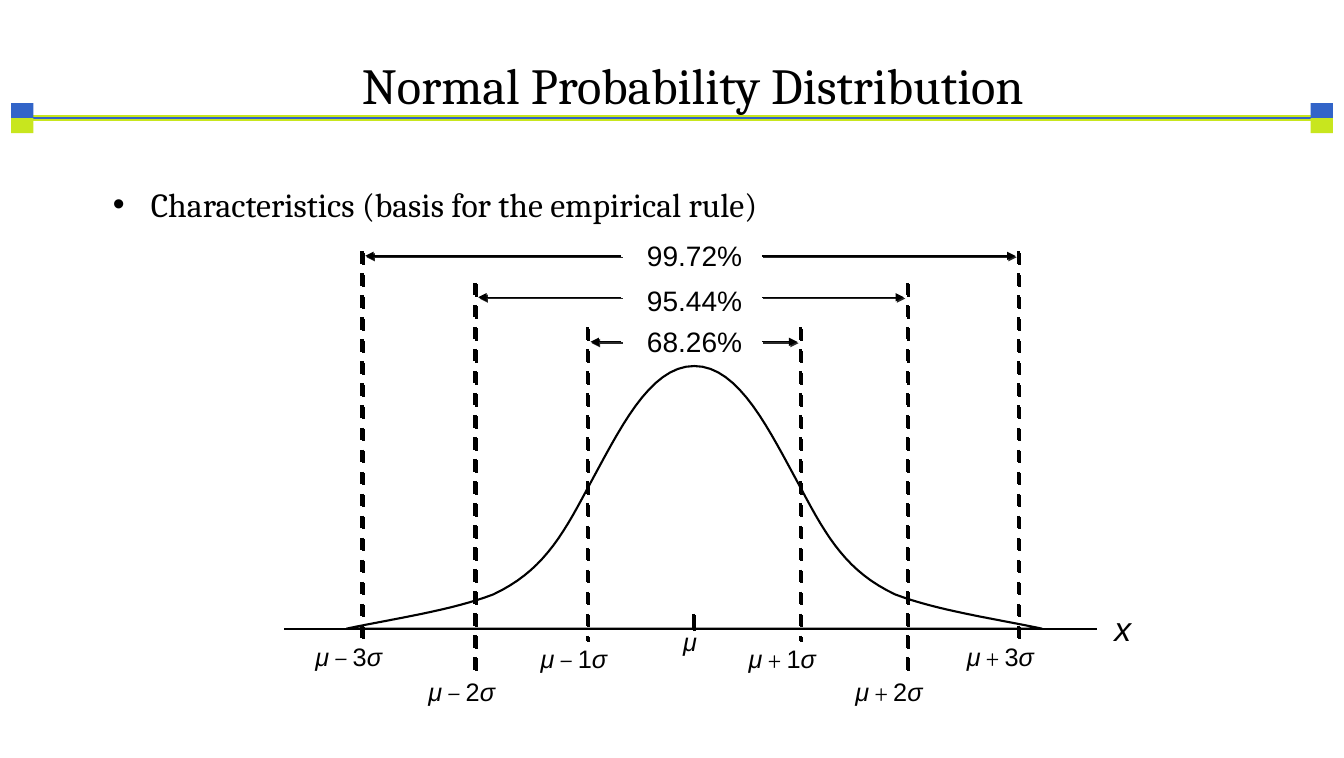
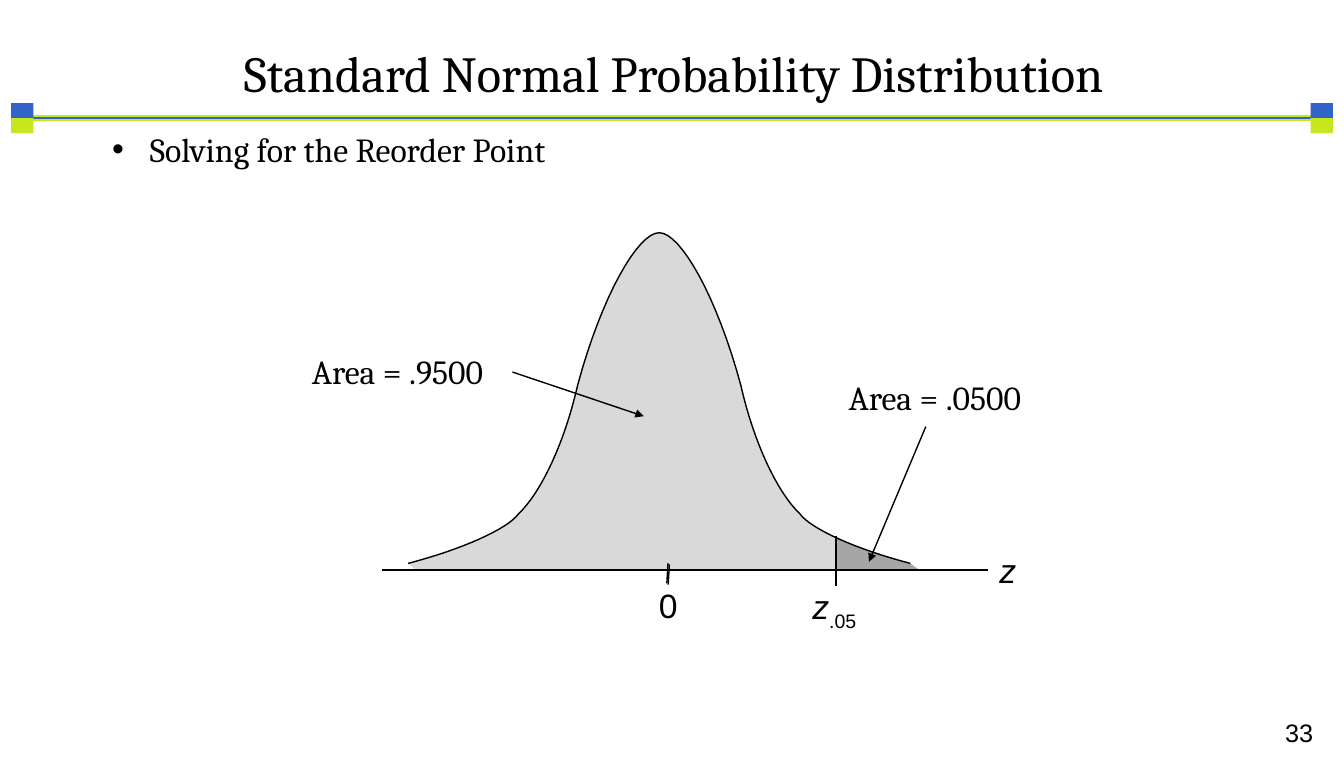
from dataclasses import dataclass

from pptx import Presentation
from pptx.dml.color import RGBColor
from pptx.enum.dml import MSO_LINE
from pptx.enum.shapes import MSO_CONNECTOR, MSO_SHAPE
from pptx.enum.text import MSO_ANCHOR, PP_ALIGN
from pptx.oxml.ns import qn
from pptx.util import Cm, Pt

STRAIGHT = MSO_CONNECTOR.STRAIGHT
RECTANGLE = MSO_SHAPE.RECTANGLE
DASH = MSO_LINE.DASH
TOP = MSO_ANCHOR.TOP
CENTER = PP_ALIGN.CENTER


@dataclass(frozen=True)
class Theme:
    black: str = "000000"
    arrow_shadow: str = "292929"
    blue: str = "3264C8"
    lime: str = "C8E61E"
    area: str = "D9D9D9"
    tail: str = "A6A6A6"
    serif: str = "Cambria"
    sans: str = "Arial"
    sign: str = "Vollkorn"
    title_size: int = 36
    body_size: int = 24
    percent_size: int = 20
    label_size: int = 18


theme = Theme()


def add_line(page, x1, y1, x2, y2, width=1, color=theme.black, dash=None, arrow=False, shadow=None):
    line = page.shapes.add_connector(STRAIGHT, Cm(x1), Cm(y1), Cm(x2), Cm(y2))
    line.line.color.rgb = RGBColor.from_string(color)
    line.line.width = Pt(width)
    if dash:
        line.line.dash_style = dash
    if arrow:
        outline = line.element.xpath(".//a:ln")[0]
        outline.append(outline.makeelement(qn("a:tailEnd"), {"type": "triangle"}))
    properties = line.element.xpath("./p:spPr")[0]
    effects = properties.makeelement(qn("a:effectLst"), {})
    properties.append(effects)
    if shadow:
        cast = effects.makeelement(qn("a:outerShdw"), {"dist": "17780", "dir": "2700000", "algn": "ctr", "rotWithShape": "0"})
        cast.append(cast.makeelement(qn("a:srgbClr"), {"val": shadow}))
        effects.append(cast)
    return line


def add_text(page, left, top, width, height, runs, size=theme.body_size, wrap=False):
    """Each run is (text, font name, italic)."""
    box = page.shapes.add_textbox(Cm(left), Cm(top), Cm(width), Cm(height))
    box.text_frame.word_wrap = wrap
    para = box.text_frame.paragraphs[0]
    for text, font, italic in runs:
        span = para.add_run()
        span.text = text
        span.font.name = font
        span.font.size = Pt(size)
        span.font.italic = italic
        span.font.color.rgb = RGBColor.from_string(theme.black)
    return box


deck = Presentation()
deck.slide_width, deck.slide_height = Cm(33.78), Cm(19.05)
layout = deck.slide_layouts[5]

# Pages with title and bullet
pages = []
for title_text, title_at, bullet_text, bullet_at in (
    ("Normal Probability Distribution", (3.05, 1.4, 28.73, 1.6),
     "Characteristics (basis for the empirical rule)", (2.59, 4.5, 28.73, 1.42)),
    ("Standard Normal Probability Distribution", (2.57, 1.09, 28.73, 1.96),
     "Solving for the Reorder Point", (2.57, 3.12, 28.73, 1.78)),
):
    page = deck.slides.add_slide(layout)
    pages.append(page)
    title = page.shapes.title
    title.left, title.top, title.width, title.height = [Cm(length) for length in title_at]
    title.text_frame.vertical_anchor = TOP
    title.text_frame.word_wrap = True
    para = title.text_frame.paragraphs[0]
    para.alignment = CENTER
    para.line_spacing = 0.9
    span = para.add_run()
    span.text = title_text
    span.font.name = theme.serif
    span.font.size = Pt(theme.title_size)
    span.font.color.rgb = RGBColor.from_string(theme.black)

    box = add_text(page, *bullet_at, [(bullet_text, theme.serif, False)], wrap=True)
    box.text_frame.paragraphs[0].space_before = Pt(5)
    settings = box.element.xpath(".//a:pPr")[0]
    settings.set("marL", str(Cm(0.95)))
    settings.set("indent", str(-Cm(0.95)))
    settings.append(settings.makeelement(qn("a:buFont"), {"typeface": theme.sans}))
    settings.append(settings.makeelement(qn("a:buChar"), {"char": "•"}))

normal_page, standard_page = pages

# Shared band, moved to the layout
band = [
    add_line(normal_page, 0.84, 2.97, 32.94, 2.97, width, color)
    for width, color in ((4.5, theme.lime), (1.75, theme.blue))
]
for left in (0.28, 32.94):
    for top, color in ((2.59, theme.blue), (2.97, theme.lime)):
        square = normal_page.shapes.add_shape(RECTANGLE, Cm(left), Cm(top), Cm(0.56), Cm(0.38))
        square.shadow.inherit = False
        square.fill.solid()
        square.fill.fore_color.rgb = RGBColor.from_string(color)
        square.line.fill.background()
        band.append(square)
for number, part in enumerate(band, 101):
    part.element.xpath(".//p:cNvPr")[0].set("id", str(number))
    layout.shapes.element.append(part.element)

# Bell curves: right halves as chained cubic curves (offset from center, height), then mirrored
curves = []
for center, knots in (
    (17.45, [(0, 9.2), (1.14, 9.2), (1.9, 10.85), (2.69, 12.29), (3.35, 13.54), (3.86, 14.38),
             (5.05, 14.94), (6.1, 15.34), (7.49, 15.54), (8.74, 15.8)]),
    (16.57, [(0, 5.85), (0.53, 5.85), (1.44, 7.42), (2.05, 9.68), (2.37, 11.1), (2.96, 12.37),
             (3.54, 12.92), (3.82, 13.3), (4.97, 13.81), (6.31, 14.16)]),
):
    half = [knots[0]]
    for first in range(0, len(knots) - 1, 3):
        a, b, c, d = knots[first:first + 4]
        for step in range(1, 17):
            t = step / 16
            half.append(tuple(
                (1 - t) ** 3 * a[axis] + 3 * (1 - t) ** 2 * t * b[axis]
                + 3 * (1 - t) * t ** 2 * c[axis] + t ** 3 * d[axis]
                for axis in (0, 1)
            ))
    curves.append([(center - x, y) for x, y in reversed(half)] + [(center + x, y) for x, y in half[1:]])
normal_curve, standard_curve = curves

# Filled areas and outlines
base, z_mark = 14.33, 21.01
area = [(10.46, base)] + standard_curve + [(22.91, base)]
tail = [(z_mark, base), (z_mark, 13.46)] + [point for point in standard_curve if point[0] > z_mark] + [(23.11, base)]
for page, points, closed, fill, width in (
    (normal_page, normal_curve, True, None, 1.5),
    (standard_page, area, True, theme.area, None),
    (standard_page, tail, True, theme.tail, None),
    (standard_page, standard_curve, False, None, 1),
):
    corners = [(Cm(x), Cm(y)) for x, y in points]
    builder = page.shapes.build_freeform(*corners[0])
    builder.add_line_segments(corners[1:], close=closed)
    outline = builder.convert_to_shape()
    outline.shadow.inherit = False
    if fill:
        outline.fill.solid()
        outline.fill.fore_color.rgb = RGBColor.from_string(fill)
    else:
        outline.fill.background()
    if width:
        outline.line.color.rgb = RGBColor.from_string(theme.black)
        outline.line.width = Pt(width)
    else:
        outline.line.fill.background()

# Normal distribution: axis and mean
add_line(normal_page, 7.14, 15.8, 27.58, 15.8, 1.5)
add_line(normal_page, 17.42, 15.42, 17.42, 15.82, 2.25, shadow=theme.black)
add_text(normal_page, 27.76, 15.14, 0.94, 1.27, [("x", theme.sans, True)])
add_text(normal_page, 16.92, 15.62, 0.97, 1.19, [("μ", theme.sans, True)], theme.label_size)

# Normal distribution: one interval for each number of deviations
for count, percent, left, right, top, bottom, arrow_y, percent_y, label_y in (
    (1, "68.26%", 14.76, 20.12, 8.23, 16.1, 8.59, 8.03, 16.03),
    (2, "95.44%", 11.94, 22.8, 7.11, 16.95, 7.47, 6.99, 16.87),
    (3, "99.72%", 9.1, 25.6, 6.32, 16.22, 6.43, 5.87, 16),
):
    add_text(normal_page, 16.01, percent_y, 2.92, 1.12, [(percent, theme.sans, False)], theme.percent_size)
    for x, sign, shift, width, inner, tip in (
        (left, " – ", 1.42, 2.67, 15.62, left + 0.08),
        (right, " + ", 1.55, 2.74, 19.15, right - 0.08),
    ):
        add_line(normal_page, x, top, x, bottom, 2.25, dash=DASH, shadow=theme.black)
        add_line(normal_page, inner, arrow_y, tip, arrow_y, arrow=True, shadow=theme.arrow_shadow)
        label = [("μ", theme.sans, True), (sign, theme.sign, False),
                 (str(count), theme.sans, False), ("σ", theme.sans, True)]
        add_text(normal_page, x - shift, label_y, width, 1.19, label, theme.label_size)

# Standard normal distribution: axis, marks and arrows
add_line(standard_page, 9.6, base, 24.84, base)
add_line(standard_page, 16.79, 14.15, 16.76, 14.66, shadow=theme.black)
add_line(standard_page, z_mark, 13.46, z_mark, 14.73)
add_line(standard_page, 12.88, 9.35, 16.18, 10.46, arrow=True)
add_line(standard_page, 23.27, 10.72, 21.84, 14.12, arrow=True)

# Standard normal distribution: labels
for left, top, width, text, font, italic in (
    (16.31, 14.58, 0.99, "0", theme.sans, False),
    (7.59, 8.69, 4.88, "Area = .9500", theme.serif, False),
    (21.08, 9.35, 4.88, "Area = .0500", theme.serif, False),
    (24.87, 13.69, 0.94, "z", theme.sans, True),
):
    add_text(standard_page, left, top, width, 1.27, [(text, font, italic)])
z_label = add_text(standard_page, 20.17, 14.6, 1.73, 1.27, [("z", theme.sans, True), (".05", theme.sans, False)])
z_label.text_frame.paragraphs[0].space_before = Pt(5)
z_label.element.xpath(".//a:rPr")[-1].set("baseline", "-25000")
add_text(standard_page, 32.05, 17.91, 1.73, 0.76, [("33", theme.sans, False)], theme.label_size, wrap=True)

deck.save("out.pptx")
